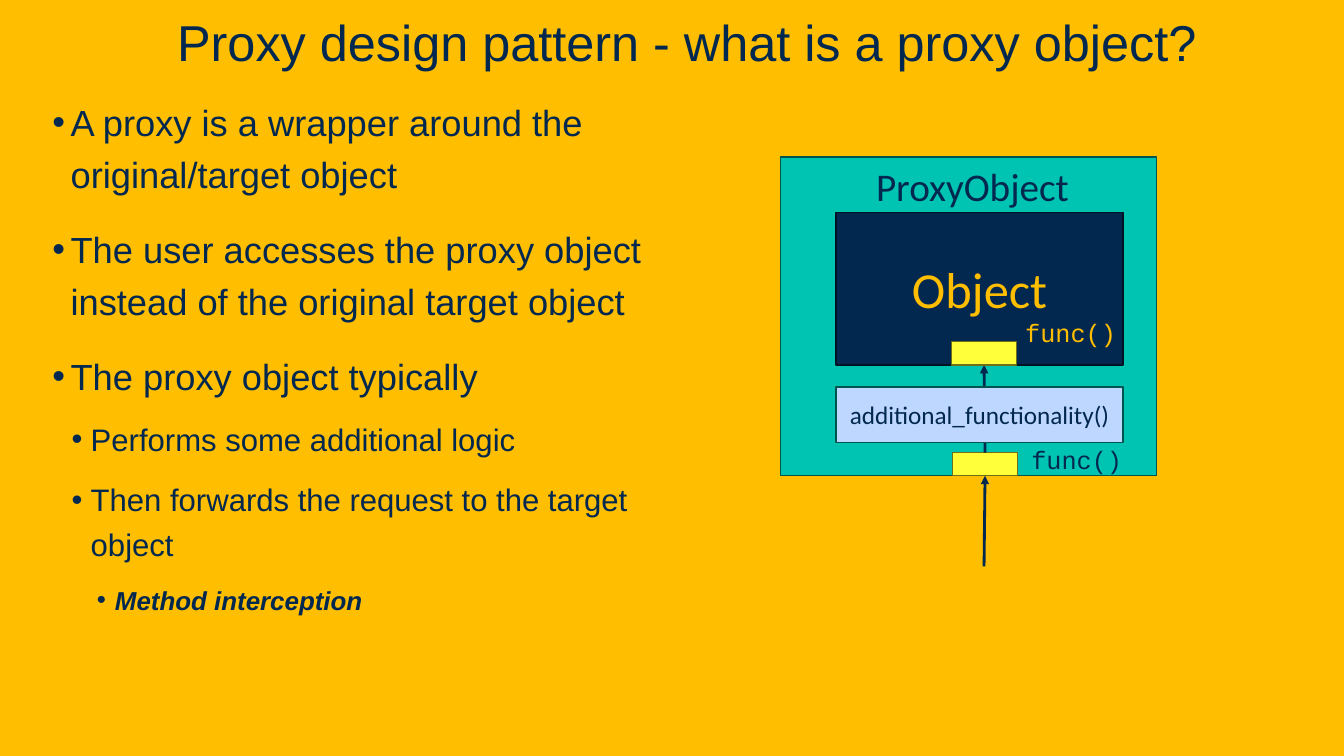
import pptx
import pptx.util
import pptx.dml.color
import pptx.enum.shapes
import pptx.enum.text
import pptx.oxml
import pptx.oxml.ns

Inches, Pt = pptx.util.Inches, pptx.util.Pt
ALIGN = pptx.enum.text.PP_ALIGN
ANCHOR = pptx.enum.text.MSO_ANCHOR
NAVY, AMBER, TEAL, YELLOW, BLUE = "022850", "FFBE00", "00C4B2", "FFFF3A", "BED7FF"
TEAL_EDGE, NAVY_EDGE, YELLOW_EDGE = "00564E", "011223", "707019"

TITLE = "Proxy design pattern - what is a proxy object?"
POINTS = [
    (0, "A proxy is a wrapper around the original/target object"),
    (0, "The user accesses the proxy object instead of the original target object"),
    (0, "The proxy object typically"),
    (1, "Performs some additional logic"),
    (1, "Then forwards the request to the target object"),
    (2, "Method interception"),
]
# Per level: size, left margin, hanging indent, space before
LEVELS = [(25.9, 0.18, 0.18, 10), (22.2, 0.38, 0.19, 5), (18.5, 0.62, 0.18, 5)]


def rgb(color):
    return pptx.dml.color.RGBColor.from_string(color)


def set_font(p, size, color, name):
    p.font.size, p.font.name = Pt(size), name
    p.font.color.rgb = rgb(color)


def place(sp, x, y, w, h):
    sp.left, sp.top, sp.width, sp.height = map(Inches, (x, y, w, h))


def add_child(parent, tag, **attrs):
    el = pptx.oxml.parse_xml(f"<a:{tag} {pptx.oxml.ns.nsdecls('a')}/>")
    for key, value in attrs.items():
        el.set(key, value)
    parent.append(el)


def add_box(s, x, y, w, h, fill, edge, text="", size=18, color=NAVY):
    sp = s.shapes.add_shape(pptx.enum.shapes.MSO_SHAPE.RECTANGLE,
                            *map(Inches, (x, y, w, h)))
    sp.shadow.inherit = False
    sp.fill.solid()
    sp.fill.fore_color.rgb = rgb(fill)
    sp.line.color.rgb = rgb(edge)
    sp.line.width = Pt(1)
    if text:
        tf = sp.text_frame
        tf.word_wrap, tf.vertical_anchor = True, ANCHOR.MIDDLE
        tf.margin_left = tf.margin_right = Inches(0.05)
        p = tf.paragraphs[0]
        p.text, p.alignment = text, ALIGN.CENTER
        set_font(p, size, color, "Calibri")


def add_label(s, x, y, w, h, text, size, color, font):
    tf = s.shapes.add_textbox(*map(Inches, (x, y, w, h))).text_frame
    tf.word_wrap = True
    p = tf.paragraphs[0]
    p.text = text
    set_font(p, size, color, font)


def add_arrow(s, x1, y1, x2, y2):
    c = s.shapes.add_connector(pptx.enum.shapes.MSO_CONNECTOR.STRAIGHT,
                               *map(Inches, (x1, y1, x2, y2)))
    c.line.color.rgb = rgb(NAVY)
    c.line.width = Pt(2)
    add_child(c.line._get_or_add_ln(), "tailEnd", type="triangle")
    add_child(c._element.spPr, "effectLst")


def add_port(s, x, y, color, label_dx, label_dy):
    """Entry point of a method, with its name on the right."""
    add_box(s, x, y, 0.64, 0.23, YELLOW, YELLOW_EDGE)
    add_label(s, x + label_dx, y + label_dy, 1.29, 0.4,
              "func()", 18, color, "Courier New")


def build_title(s, x, y, w, h):
    sp = s.shapes.title
    place(sp, x, y, w, h)
    tf = sp.text_frame
    tf.auto_size = pptx.enum.text.MSO_AUTO_SIZE.NONE
    tf.vertical_anchor = ANCHOR.BOTTOM
    p = tf.paragraphs[0]
    p.text, p.alignment = TITLE, ALIGN.CENTER
    set_font(p, 36, NAVY, "Arial")
    p._p.get_or_add_pPr().set("marL", str(Inches(0.3)))


def build_points(s, x, y, w, h):
    sp = s.placeholders[1]
    place(sp, x, y, w, h)
    tf = sp.text_frame
    tf.auto_size = pptx.enum.text.MSO_AUTO_SIZE.NONE
    for i, (level, text) in enumerate(POINTS):
        p = tf.add_paragraph() if i else tf.paragraphs[0]
        size, margin, hang, before = LEVELS[level]
        p.text, p.level, p.line_spacing = text, level, 1.2
        p.space_before, p.space_after = Pt(before), Pt(6)
        set_font(p, size, NAVY, "Arial")
        p.font.bold = p.font.italic = level == 2
        pPr = p._p.get_or_add_pPr()
        pPr.set("marL", str(Inches(margin)))
        pPr.set("indent", str(-Inches(hang)))
        bullet = pptx.oxml.parse_xml(
            f'<a:buChar {pptx.oxml.ns.nsdecls("a")} char="•"/>')
        pPr.find(pptx.oxml.ns.qn("a:defRPr")).addprevious(bullet)


def build_diagram(s, x, y, w, h):
    inner_x, inner_w = x + 0.55, 2.85
    port_x, mid_x = x + 1.7, x + 2.02
    # Proxy, its entry point and the inner call
    add_box(s, x, y, w, h, TEAL, TEAL_EDGE)
    add_label(s, x + 0.85, y, 2.55, 0.57, "ProxyObject", 28, NAVY, "Calibri")
    add_port(s, port_x + 0.01, y + h - 0.23, NAVY, 0.68, -0.13)
    add_arrow(s, mid_x + 0.01, y + h - 0.23, mid_x, y + 2.06)
    # Target object
    add_box(s, inner_x, y + 0.55, inner_w, 1.51, NAVY, NAVY_EDGE,
            "Object", 36, AMBER)
    add_port(s, port_x, y + 1.83, AMBER, 0.63, -0.29)
    # Outside call and the added logic
    add_arrow(s, mid_x, y + h + 0.9, mid_x + 0.01, y + h)
    add_box(s, inner_x, y + 2.28, inner_w, 0.55, BLUE, TEAL_EDGE,
            "additional_functionality()")


def main():
    prs = pptx.Presentation()
    prs.slide_width, prs.slide_height = Inches(13.33), Inches(7.5)
    s = prs.slides.add_slide(prs.slide_layouts[1])
    s.background.fill.solid()
    s.background.fill.fore_color.rgb = rgb(AMBER)
    build_title(s, 0, 0, 13.33, 0.76)
    build_points(s, 0.42, 0.86, 6.16, 5.52)
    build_diagram(s, 7.74, 1.56, 3.73, 3.16)
    prs.save("out.pptx")


if __name__ == "__main__":
    main()
